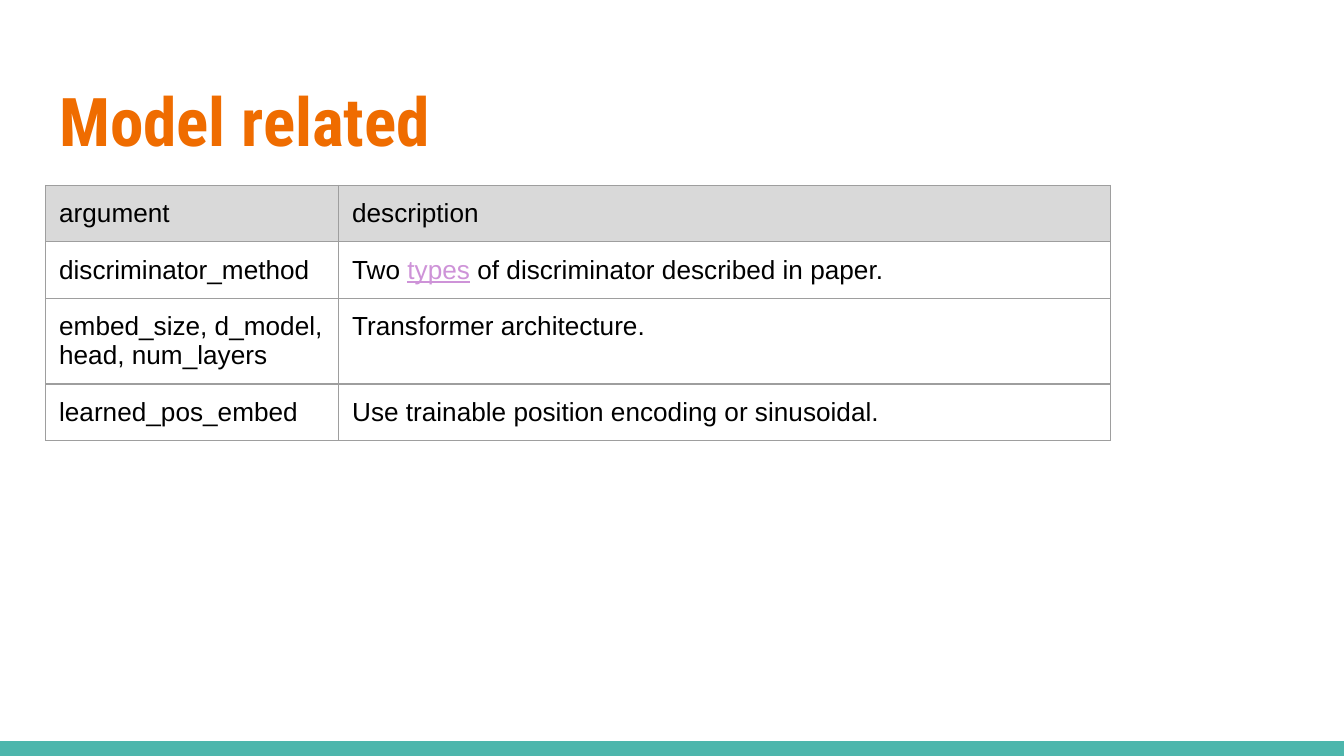
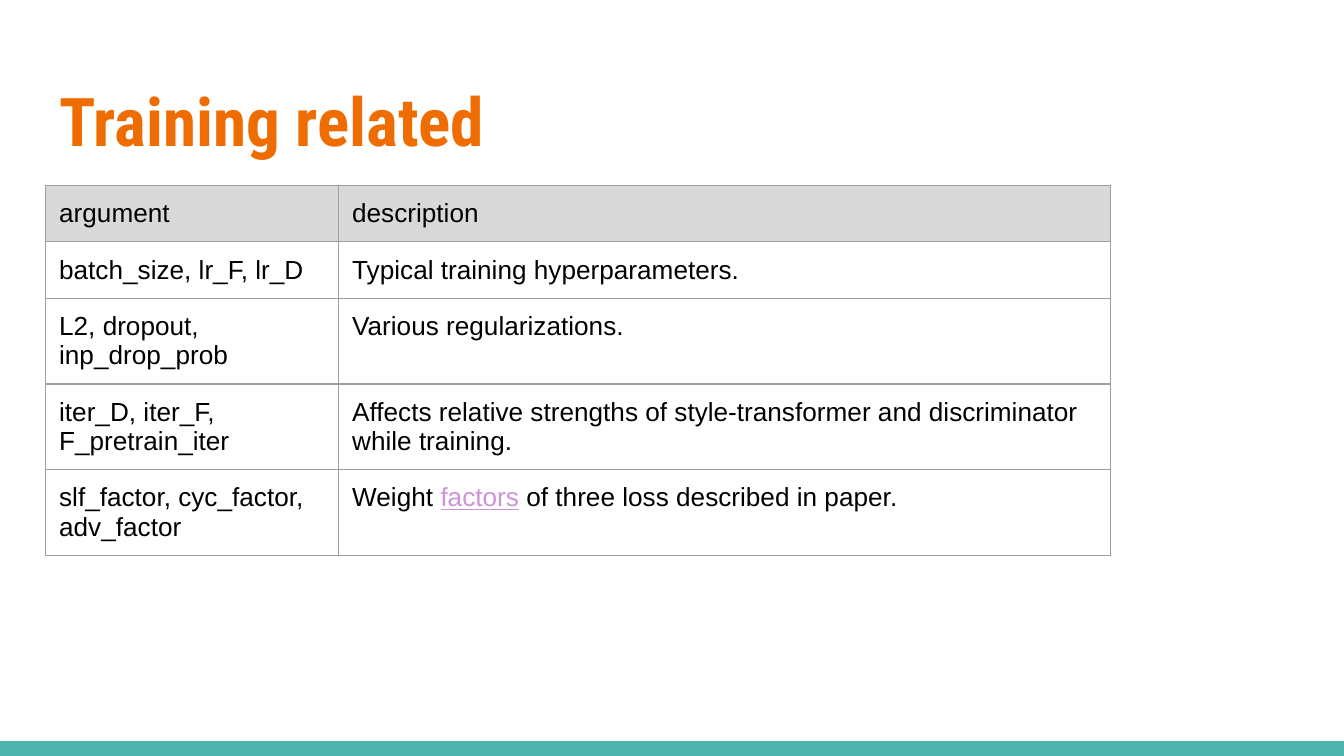
from lxml import etree
from pptx import Presentation
from pptx.dml.color import RGBColor
from pptx.enum import shapes, text
from pptx.oxml.ns import qn
from pptx.util import Inches, Pt

# Content: a tuple cell holds text before, highlighted word, text after
HEADER = ("argument", "description")
PAGES = [
    ("Model related", [
        ("discriminator_method",
         ("Two ", "types", " of discriminator described in paper.")),
        ("embed_size, d_model, head, num_layers", "Transformer architecture."),
        ("learned_pos_embed", "Use trainable position encoding or sinusoidal."),
    ]),
    ("Training related", [
        ("batch_size, lr_F, lr_D", "Typical training hyperparameters."),
        ("L2, dropout, inp_drop_prob", "Various regularizations."),
        ("iter_D, iter_F, F_pretrain_iter",
         "Affects relative strengths of style-transformer and discriminator while training."),
        ("slf_factor, cyc_factor, adv_factor",
         ("Weight ", "factors", " of three loss described in paper.")),
    ]),
]

# Shared style
COLORS = {"title": "EF6C00", "band": "4DB6AC", "header": "D9D9D9",
          "border": "9E9E9E", "body": "000000", "highlight": "CE93D8"}
WIDTH = 10
HEIGHT = WIDTH * 9 / 16
LEFT, TABLE_TOP = 0.34, 1.38
COLUMN_WIDTHS = (2.18, 5.74)
ROW_HEIGHT = 0.42
BAND_HEIGHT = 0.11
INSET = Inches(0.1)


def color(name):
    return RGBColor.from_string(COLORS[name])


def style_font(font, face, size, color_name):
    font.name = face
    font.size = Pt(size)
    font.color.rgb = color(color_name)


def set_insets(frame):
    frame.margin_left = frame.margin_right = INSET
    frame.margin_top = frame.margin_bottom = INSET


def add_band(slide):
    band = slide.shapes.add_shape(
        shapes.MSO_SHAPE.RECTANGLE, 0, Inches(HEIGHT - BAND_HEIGHT),
        Inches(WIDTH), Inches(BAND_HEIGHT))
    band.shadow.inherit = False
    band.fill.solid()
    band.fill.fore_color.rgb = color("band")
    band.line.fill.background()


def set_title(slide, heading):
    title = slide.shapes.title
    title.left, title.top = Inches(LEFT), Inches(0.49)
    title.width, title.height = Inches(WIDTH - 2 * LEFT), Inches(0.77)
    frame = title.text_frame
    frame.text = heading
    frame.word_wrap = True
    frame.auto_size = text.MSO_AUTO_SIZE.NONE
    frame.vertical_anchor = text.MSO_ANCHOR.TOP
    set_insets(frame)
    paragraph = frame.paragraphs[0]
    paragraph.alignment = text.PP_ALIGN.LEFT
    font = paragraph.runs[0].font
    style_font(font, "Roboto Condensed", 36, "title")
    font.bold = True


def add_borders(cell):
    properties = cell._tc.get_or_add_tcPr()
    for side in ("lnL", "lnR", "lnT", "lnB"):
        line = etree.SubElement(properties, qn(f"a:{side}"), w=str(Pt(0.75)))
        fill = etree.SubElement(line, qn("a:solidFill"))
        etree.SubElement(fill, qn("a:srgbClr"), val=COLORS["border"])


def fill_cell(cell, content, is_header):
    set_insets(cell)
    add_borders(cell)
    if is_header:
        cell.fill.solid()
        cell.fill.fore_color.rgb = color("header")
    else:
        cell.fill.background()

    pieces = (content,) if isinstance(content, str) else content
    paragraph = cell.text_frame.paragraphs[0]
    for index, piece in enumerate(pieces):
        run = paragraph.add_run()
        run.text = piece
        highlighted = index == 1
        style_font(run.font, "Arial", 14, "highlight" if highlighted else "body")
        run.font.bold = False
        run.font.underline = highlighted


def add_arguments(slide, arguments):
    rows = [HEADER, *arguments]
    table = slide.shapes.add_table(
        len(rows), len(HEADER), Inches(LEFT), Inches(TABLE_TOP),
        Inches(sum(COLUMN_WIDTHS)), Inches(ROW_HEIGHT * len(rows))).table
    table.first_row = table.horz_banding = False
    for column, width in zip(table.columns, COLUMN_WIDTHS):
        column.width = Inches(width)
    for r, contents in enumerate(rows):
        table.rows[r].height = Inches(ROW_HEIGHT)
        for c, content in enumerate(contents):
            fill_cell(table.cell(r, c), content, is_header=r == 0)


def main():
    deck = Presentation()
    deck.slide_width, deck.slide_height = Inches(WIDTH), Inches(HEIGHT)
    title_only = deck.slide_layouts[5]
    for heading, arguments in PAGES:
        slide = deck.slides.add_slide(title_only)
        add_band(slide)
        set_title(slide, heading)
        add_arguments(slide, arguments)
    deck.save("out.pptx")


if __name__ == "__main__":
    main()
